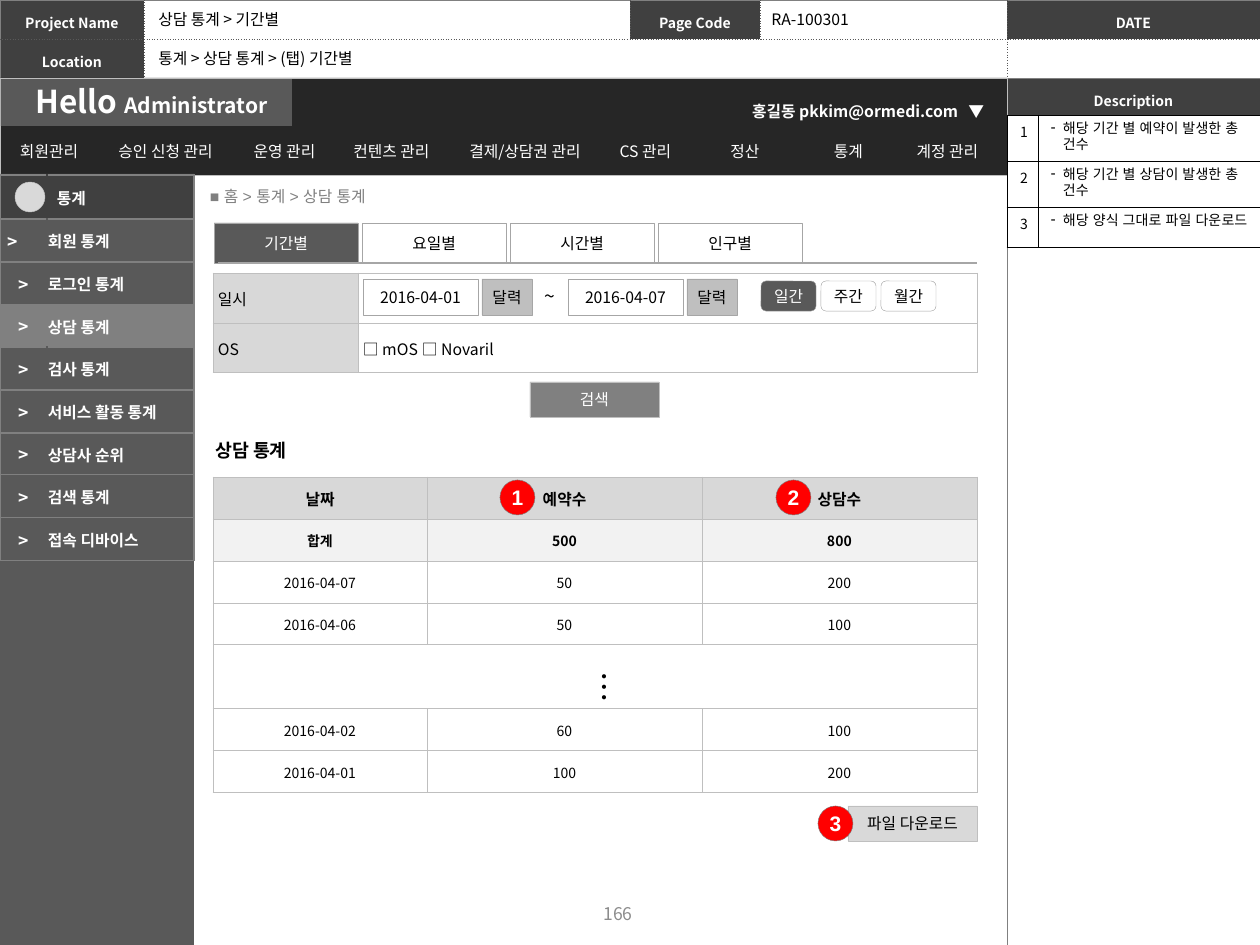
from dataclasses import dataclass

from lxml.etree import SubElement
from pptx import Presentation
from pptx.dml.color import RGBColor as Rgb
from pptx.enum.shapes import MSO_CONNECTOR as Link, MSO_SHAPE as Form
from pptx.enum.text import MSO_ANCHOR as Anchor, MSO_AUTO_SIZE as Fit, PP_ALIGN as Align
from pptx.oxml.ns import qn
from pptx.util import Emu, Pt


@dataclass(frozen=True)
class Theme:
    font: str = "Noto Sans CJK KR"
    plain: str = "Arial"
    white: str = "FFFFFF"
    black: str = "000000"
    night: str = "262626"
    dark: str = "404040"
    slate: str = "595959"
    gray: str = "808080"
    dim: str = "8C8C8C"
    rim: str = "A6A6A6"
    silver: str = "BFBFBF"
    head: str = "D8D8D8"
    light: str = "D9D9D9"
    pale: str = "F2F2F2"
    red: str = "FF0000"
    small: float = 8
    body: float = 9
    mark: float = 10
    sub: float = 10.5
    tilde: float = 11
    badge: float = 12
    big: float = 18


T = Theme()
SCALE = 914400 / 126
TIGHT = (1, 1, 1, 0)
NORMAL = (13, 6, 13, 6)
SNUG = (5, 5, 5, 5)


def px(num):
    return Emu(round(num * SCALE))


def ink(run, size, color, bold, font):
    run.font.size = Pt(size)
    run.font.bold = bold
    run.font.color.rgb = Rgb.from_string(color)
    run.font.name = font
    SubElement(run._r.get_or_add_rPr(), qn("a:ea"), typeface=font)


def write(frame, text, size=T.body, color=T.black, bold=False, font=T.font,
          align=Align.LEFT, space=None):
    frame.text = text
    para = frame.paragraphs[0]
    para.alignment = align
    if space:
        para.line_spacing = space
    for run in para.runs:
        ink(run, size, color, bold, font)
    if not text:
        para._p.get_or_add_endParaRPr().set("sz", str(int(size * 100)))


def pad(item, sides):
    item.margin_left, item.margin_top, item.margin_right, item.margin_bottom = map(px, sides)


def label(slide, text, left, top, width, height, **style):
    box = slide.shapes.add_textbox(px(left), px(top), px(width), px(height))
    frame = box.text_frame
    frame.word_wrap = False
    frame.auto_size = Fit.SHAPE_TO_FIT_TEXT
    write(frame, text, **style)
    return frame


def block(slide, text, left, top, width, height, fill, line=T.rim, form=Form.RECTANGLE, **style):
    shape = slide.shapes.add_shape(form, px(left), px(top), px(width), px(height))
    shape.shadow.inherit = False
    shape.fill.solid()
    shape.fill.fore_color.rgb = Rgb.from_string(fill)
    if line:
        shape.line.color.rgb = Rgb.from_string(line)
        shape.line.width = Pt(0.25)
    else:
        shape.line.fill.background()
    if text:
        frame = shape.text_frame
        frame.word_wrap = False
        frame.vertical_anchor = Anchor.MIDDLE
        write(frame, text, align=Align.CENTER, **style)


def badge(slide, num, left, top):
    block(slide, num, left, top, 35, 35, T.red, T.gray, Form.OVAL,
          size=T.badge, color=T.white, bold=True, font=T.plain)


def grid(slide, left, top, cols, rows):
    table = slide.shapes.add_table(len(rows), len(cols), px(left), px(top),
                                   px(sum(cols)), px(sum(rows))).table
    table.first_row = table.horz_banding = False
    for col, width in zip(table.columns, cols):
        col.width = px(width)
    for row, height in zip(table.rows, rows):
        row.height = px(height)
    return table


def edge(cell, *lines):
    """Draw left, right, top and bottom borders; one line serves all four."""
    props = cell._tc.get_or_add_tcPr()
    for side, (color, width, dash) in zip("LRTB", lines * (4 // len(lines))):
        line = SubElement(props, qn(f"a:ln{side}"), w=str(Pt(width)))
        SubElement(SubElement(line, qn("a:solidFill")), qn("a:srgbClr"), val=color)
        SubElement(line, qn("a:prstDash"), val=dash)


def put(cell, text, lines, fill=None, sides=NORMAL, anchor=Anchor.MIDDLE, **style):
    edge(cell, *lines)
    if fill:
        cell.fill.solid()
        cell.fill.fore_color.rgb = Rgb.from_string(fill)
    else:
        cell.fill.background()
    pad(cell, sides)
    cell.vertical_anchor = anchor
    write(cell.text_frame, text, **style)


def frames(slide):
    """Project header and description panel."""
    rim, dots = (T.gray, 0.5, "solid"), (T.slate, 0.5, "sysDot")
    caption = dict(size=T.small, color=T.white, bold=True, align=Align.CENTER, space=1.3)
    table = grid(slide, 0, 0, [144, 486, 130, 247, 253], [39, 39])
    table.cell(1, 1).merge(table.cell(1, 3))
    heads = [["Project Name", "", "Page Code", "", "DATE"], ["Location", "", "", "", ""]]
    for r, row in enumerate(heads):
        for c, text in enumerate(row):
            lines = (dots if c else rim, rim if c == 4 else dots,
                     dots if r else rim, rim if r else dots)
            put(table.cell(r, c), text, lines, T.dark if text else None, SNUG, **caption)
    panel = grid(slide, 1007, 78, [253], [39, 828])
    put(panel.cell(0, 0), "Description", (rim, rim, rim, dots), T.dark, SNUG, **caption)
    put(panel.cell(1, 0), "", (rim, rim, dots, rim))
    label(slide, "상담 통계 > 기간별", 146, 4, 164, 32)
    label(slide, "RA-100301", 759, 4, 105, 32)
    label(slide, "통계 > 상담 통계 > (탭) 기간별", 146, 43, 249, 32)


def banner(slide):
    block(slide, "", 0, 78, 1007, 97, T.night, T.silver)
    block(slide, "", 1, 79, 291, 47, T.slate, None)
    bold = dict(color=T.white, bold=True)
    hello = label(slide, "Hello ", 23, 76, 263, 50, size=T.big, **bold)
    run = hello.paragraphs[0].add_run()
    run.text = "Administrator"
    ink(run, T.badge, T.white, True, T.font)
    label(slide, "홍길동 pkkim@ormedi.com", 733, 92, 244, 33, align=Align.CENTER, space=1.2, **bold)
    label(slide, "▼", 956, 92, 42, 33, space=1.2, **bold)
    menu = ["회원관리", "승인 신청 관리", "운영 관리", "컨텐츠 관리", "결제/상담권 관리",
            "CS 관리", "정산", "통계", "계정 관리"]
    table = grid(slide, 2, 131, [94, 139, 99, 115, 152, 89, 110, 97, 101], [39])
    for cell, text in zip(table.rows[0].cells, menu):
        put(cell, text, [(T.night, 1, "solid")], color=T.white, align=Align.CENTER)


def sidebar(slide):
    block(slide, "", 0, 174, 194, 771, T.slate, None)
    items = ["통계", "회원 통계", "로그인 통계", "상담 통계", "검사 통계", "서비스 활동 통계",
             "상담사 순위", "검색 통계", "접속 디바이스"]
    table = grid(slide, 0, 175, [47, 147], [44] + ([43, 43, 42] * 3)[:8])
    rim = (T.gray, 1, "solid")
    for r, text in enumerate(items):
        fill = {0: T.dark, 3: T.gray}.get(r, T.slate)
        seam = (fill, 1, "solid")
        arrow = (1, 1, 22, 0) if r == 1 else TIGHT
        put(table.cell(r, 0), ">" if r else "", (rim, seam, rim, rim), fill, arrow,
            size=T.mark, color=T.white, bold=True, align=Align.CENTER)
        put(table.cell(r, 1), text, (seam, rim, rim, rim), fill,
            TIGHT if r else (10, 1, 1, 0), color=T.white, bold=True)
    block(slide, "", 15, 182, 30, 30, T.light, T.silver, Form.OVAL)


def search(slide):
    """Tabs and filter form."""
    for i, text in enumerate(["기간별", "요일별", "시간별", "인구별"]):
        block(slide, text, 214 + 148 * i, 223, 144, 40, T.white if i else T.slate,
              color=T.black if i else T.white)
    rule = slide.shapes.add_connector(Link.STRAIGHT, px(218), px(263), px(977), px(263))
    rule.line.color.rgb = Rgb.from_string(T.rim)
    rule.line.width = Pt(0.75)
    SubElement(rule._element.spPr, qn("a:effectLst"))

    table = grid(slide, 213, 273, [145, 619], [50, 50])
    for r, (name, value) in enumerate([("일시", ""), ("OS", "□ mOS\t□ Novaril")]):
        lines = [(T.silver, 0.5, "solid")]
        put(table.cell(r, 0), name, lines, T.head, (5, 1, 1, 0))
        put(table.cell(r, 1), value, lines, None, (5, 1, 1, 0))
    props = table.cell(1, 1).text_frame.paragraphs[0]._p.get_or_add_pPr()
    SubElement(SubElement(props, qn("a:tabLst")), qn("a:tab"), pos=str(px(59)), algn="l")

    for i, date in enumerate(["2016-04-01", "2016-04-07"]):
        block(slide, date, 363 + 205 * i, 279, 115, 36, T.white)
        block(slide, "달력", 482 + 205 * i, 279, 50, 36, T.silver)
    label(slide, "~", 532, 278, 39, 37, size=T.tilde)
    for i, text in enumerate(["일간", "주간", "월간"]):
        block(slide, text, 761 + 60 * i, 281, 55, 30, T.white if i else T.slate,
              form=Form.ROUNDED_RECTANGLE, color=T.black if i else T.white)
    block(slide, "검색", 530, 382, 129, 35, T.gray, T.silver, color=T.white)


def stats(slide):
    label(slide, "상담 통계", 203, 433, 113, 35, size=T.sub, bold=True)
    rows = [("날짜", "예약수", "상담수"), ("합계", "500", "800"),
            ("2016-04-07", "50", "200"), ("2016-04-06", "50", "100"), ("", "", ""),
            ("2016-04-02", "60", "100"), ("2016-04-01", "100", "200")]
    table = grid(slide, 213, 477, [214, 275, 275], [42 if row[0] else 64 for row in rows])
    table.cell(4, 0).merge(table.cell(4, 2))
    for r, row in enumerate(rows):
        for c, text in enumerate(row):
            put(table.cell(r, c), text, [(T.silver, 0.5, "solid")],
                {0: T.head, 1: T.pale}.get(r, T.white), TIGHT,
                size=T.small if r else T.body, bold=r < 2, align=Align.CENTER)
    dots = label(slide, "…", 567, 659, 63, 37, size=T.big)
    dots._txBody.bodyPr.set("vert", "eaVert")
    block(slide, "파일 다운로드", 848, 806, 129, 35, T.light, T.silver)
    badge(slide, "1", 500, 480)
    badge(slide, "2", 776, 480)
    badge(slide, "3", 818, 806)


def notes(slide):
    """Numbered remarks in the description panel."""
    texts = ["해당 기간 별 예약이 발생한 총 건수", "해당 기간 별 상담이 발생한 총 건수",
             "해당 양식 그대로 파일 다운로드"]
    table = grid(slide, 1007, 115, [30, 223], [46, 46, 40])
    style = dict(fill=T.white, anchor=Anchor.TOP, size=T.small)
    for r, text in enumerate(texts):
        lines = [(T.black, 0.5, "solid")]
        put(table.cell(r, 0), str(r + 1), lines, **style)
        put(table.cell(r, 1), text, lines, font=T.plain, **style)
        props = table.cell(r, 1).text_frame.paragraphs[0]._p.get_or_add_pPr()
        props.set("marL", str(px(12)))
        props.set("indent", str(px(-12)))
        SubElement(props, qn("a:buChar"), char="-")


def main():
    deck = Presentation()
    deck.slide_width, deck.slide_height = px(1260), px(945)
    slide = deck.slides.add_slide(deck.slide_layouts[5])
    title = slide.shapes.title
    title.left, title.top, title.width, title.height = map(px, (184, 175, 784, 43))
    title.text_frame.vertical_anchor = Anchor.MIDDLE
    pad(title.text_frame, (26, 6, 13, 6))
    write(title.text_frame, "■ 홈 > 통계 > 상담 통계", color=T.gray, font=T.plain)
    for part in (frames, banner, sidebar, search, stats, notes):
        part(slide)
    label(slide, "166", 471, 897, 294, 40, size=T.mark, color=T.dim, align=Align.CENTER)
    deck.save("out.pptx")


if __name__ == "__main__":
    main()
